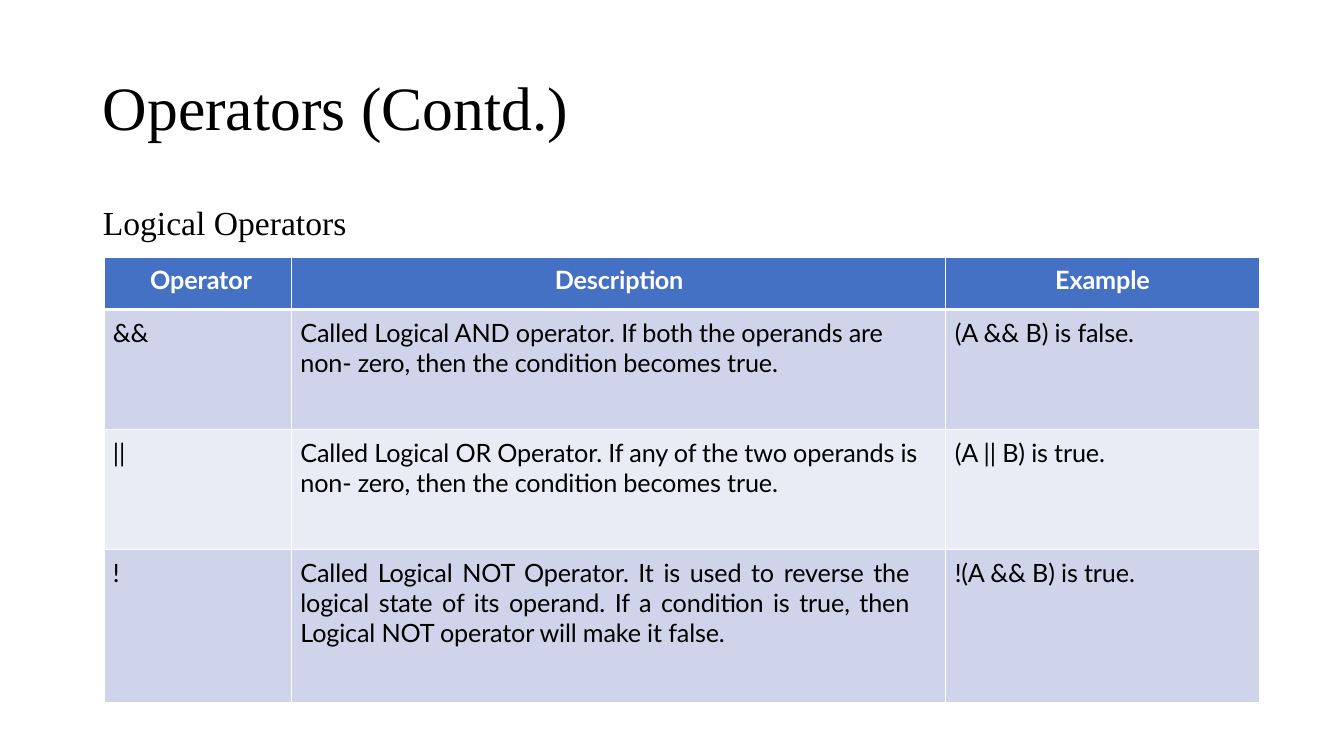
from pptx import Presentation
from pptx.dml.color import RGBColor
from pptx.enum.text import PP_ALIGN as Align
from pptx.oxml.ns import qn
from pptx.util import Inches, Pt
from lxml.etree import SubElement

COLORS = {
    "ink": "000000",
    "white": "FFFFFF",
    "header": "4471C4",
    "odd": "CFD4EA",
    "even": "E9EBF5",
}


class SlideBuilder:
    heading_font = "Times New Roman"
    table_font = "Lato"
    table_size = 18

    def __init__(self, slide):
        self.slide = slide

    def color(self, name):
        return RGBColor.from_string(COLORS[name])

    def run(self, paragraph, text, font, size, color, bold=False):
        run = paragraph.add_run()
        run.text = text
        run.font.name = font
        run.font.size = Pt(size)
        run.font.bold = bold
        run.font.color.rgb = self.color(color)
        return run

    def heading(self, text, left, top, width, height, size, inset):
        box = self.slide.shapes.add_textbox(
            Inches(left), Inches(top), Inches(width), Inches(height))
        frame = box.text_frame
        frame.word_wrap = True
        frame.margin_left = Inches(0.02)
        frame.margin_top = Inches(inset)
        frame.margin_right = frame.margin_bottom = 0
        self.run(frame.paragraphs[0], text, self.heading_font, size, "ink")

    def borders(self, cell, widths):
        properties = cell._tc.get_or_add_tcPr()
        for index, (side, width) in enumerate(widths.items()):
            line = properties.makeelement(qn(f"a:ln{side}"), {"w": str(Pt(width))})
            fill = SubElement(line, qn("a:solidFill"))
            SubElement(fill, qn("a:srgbClr"), val=COLORS["white"])
            properties.insert(index, line)

    def cell(self, cell, text, fill, color="ink", bold=False,
             align=Align.LEFT, left=0.09, right=0):
        cell.fill.solid()
        cell.fill.fore_color.rgb = self.color(fill)
        cell.margin_left = Inches(left)
        cell.margin_top = Inches(0.08)
        cell.margin_right = Inches(right)
        cell.margin_bottom = 0
        paragraph = cell.text_frame.paragraphs[0]
        paragraph.alignment = align
        run = self.run(paragraph, text, self.table_font, self.table_size, color, bold)
        run._r.get_or_add_rPr().set("spc", "-10")

    def table(self, left, top, columns, heights, header, rows):
        table = self.slide.shapes.add_table(
            len(heights), len(columns), Inches(left), Inches(top),
            Inches(sum(columns)), Inches(sum(heights))).table
        for column, width in zip(table.columns, columns):
            column.width = Inches(width)
        for row, height in zip(table.rows, heights):
            row.height = Inches(height)
        for index, (text, align, indent) in enumerate(header):
            self.cell(table.cell(0, index), text, "header", "white", True, align, indent)
        for number, (operator, description, example, align, right) in enumerate(rows, 1):
            fill = "odd" if number % 2 else "even"
            self.cell(table.cell(number, 0), operator, fill, left=0.08)
            self.cell(table.cell(number, 1), description, fill, align=align, right=right)
            self.cell(table.cell(number, 2), example, fill)
        for number in range(len(heights)):
            widths = {"L": 1, "R": 1, "T": 3 if number == 1 else 1,
                      "B": 3 if number == 0 else 1}
            for index in range(len(columns)):
                self.borders(table.cell(number, index), widths)


presentation = Presentation()
presentation.slide_width = Inches(13.33)
presentation.slide_height = Inches(7.5)
builder = SlideBuilder(presentation.slides.add_slide(presentation.slide_layouts[6]))

builder.heading("Operators (Contd.)", 1, 0.67, 5.33, 0.75, 44, 0.01)
builder.heading("Logical Operators", 1, 1.98, 2.91, 0.42, 24, 0.02)

HEADER = [
    ("Operator", Align.LEFT, 0.45),
    ("Description", Align.CENTER, 0.01),
    ("Example", Align.CENTER, 0),
]
ROWS = [
    ("&&",
     "Called Logical AND operator. If both the operands are non- zero, "
     "then the condition becomes true.",
     "(A && B) is false.", Align.LEFT, 0.25),
    ("||",
     "Called Logical OR Operator. If any of the two operands is non- zero, "
     "then the condition becomes true.",
     "(A || B) is true.", Align.LEFT, 0.2),
    ("!",
     "Called Logical NOT Operator. It is used to reverse the logical state "
     "of its operand. If a condition is true, then Logical NOT operator "
     "will make it false.",
     "!(A && B) is true.", Align.JUSTIFY, 0.36),
]
builder.table(1.04, 2.55, [1.85, 6.49, 3.11], [0.52, 1.19, 1.19, 1.52], HEADER, ROWS)

presentation.save("out.pptx")
